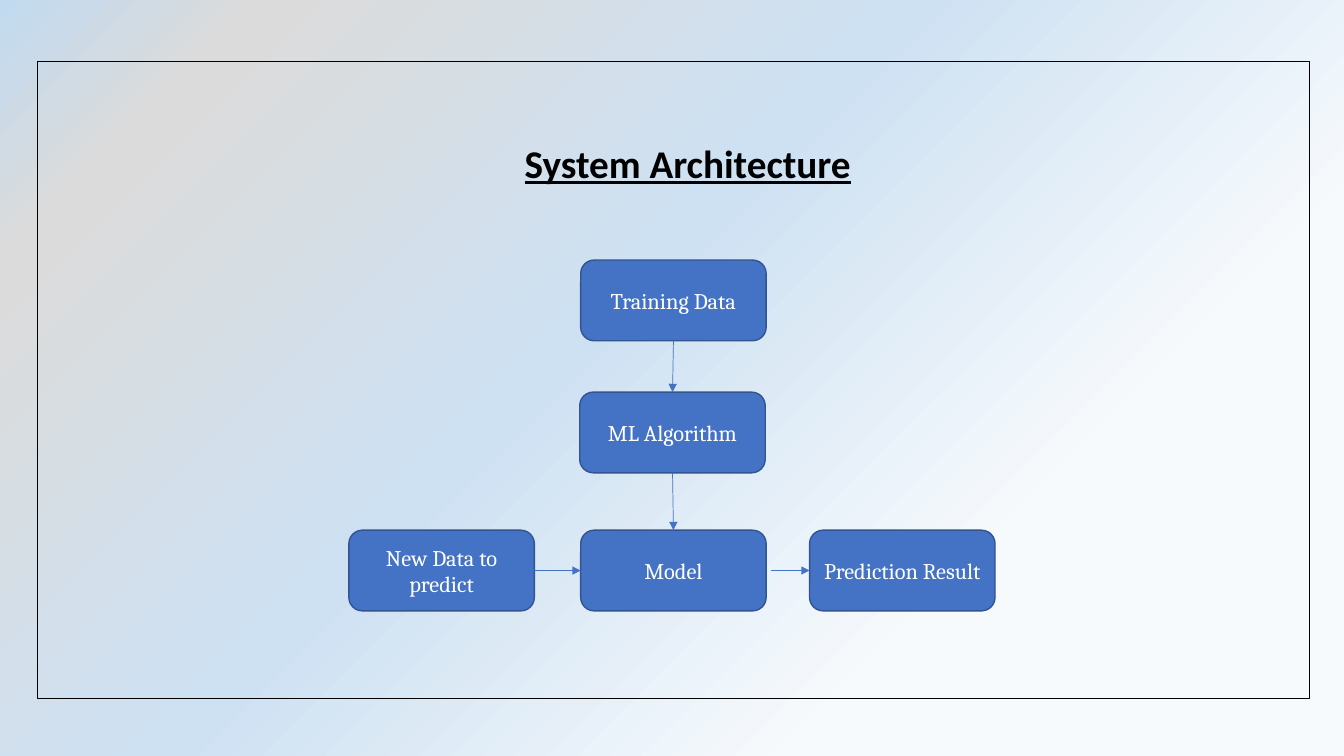
"""Build the system architecture slide; lengths are percent of the slide's size."""
from dataclasses import dataclass
from typing import Optional

from lxml.etree import SubElement
from pptx import Presentation
from pptx.dml.color import RGBColor
from pptx.enum.shapes import MSO_CONNECTOR, MSO_SHAPE
from pptx.enum.text import MSO_ANCHOR, PP_ALIGN
from pptx.oxml.ns import qn
from pptx.shapes.autoshape import Shape
from pptx.slide import Slide
from pptx.text.text import TextFrame
from pptx.util import Inches, Pt

WIDE, HIGH = Inches(13.33), Inches(7.5)
BOX_W, BOX_H = 13.8, 10.67
LEFT, MID, RIGHT = 25.96, 43.21, 60.24
TOP, NEXT, BASE = 34.4, 51.87, 70.13
TOP_SIDE, LEFT_SIDE, BOTTOM_SIDE, RIGHT_SIDE = range(4)
BLUE, NAVY, WHITE, BLACK = "4472C4", "325491", "FFFFFF", "000000"
STOPS = ((26, "F7FAFD"), (56, "CEE1F2"), (87, "DBDBDB"), (100, "C2DAEF"))


@dataclass(frozen=True)
class Box:
    """A step of the flow."""
    text: str
    left: float
    top: float


@dataclass(frozen=True)
class Link:
    """An arrow between two steps, with a gap at its start if not joined."""
    start: str
    end: str
    out: int
    into: int
    gap: Optional[float] = None


BOXES = (
    Box("Training Data", MID, TOP),
    Box("ML Algorithm", 43.14, NEXT),
    Box("New Data to predict", LEFT, BASE),
    Box("Model", MID, BASE),
    Box("Prediction Result", RIGHT, BASE),
)
LINKS = (
    Link("Training Data", "ML Algorithm", BOTTOM_SIDE, TOP_SIDE),
    Link("ML Algorithm", "Model", BOTTOM_SIDE, TOP_SIDE),
    Link("New Data to predict", "Model", RIGHT_SIDE, LEFT_SIDE),
    Link("Model", "Prediction Result", RIGHT_SIDE, LEFT_SIDE, 0.38),
)


def across(share: float) -> int:
    """Turn a percent of the width into a length."""
    return round(WIDE * share / 100)


def down(share: float) -> int:
    """Turn a percent of the height into a length."""
    return round(HIGH * share / 100)


def paint(code: str) -> RGBColor:
    """Turn a hex string into a colour."""
    return RGBColor.from_string(code)


def write(frame: TextFrame, text: str, font: str, size: int, code: str, strong: bool = False) -> None:
    """Write one centred line of text."""
    frame.word_wrap = True
    frame.vertical_anchor = MSO_ANCHOR.MIDDLE
    para = frame.paragraphs[0]
    para.alignment = PP_ALIGN.CENTER
    run = para.add_run()
    run.text = text
    run.font.name, run.font.size = font, Pt(size)
    run.font.color.rgb = paint(code)
    run.font.bold = run.font.underline = strong


def shade(slide: Slide) -> None:
    """Fill the background with a gradient from the lower right corner."""
    slide.background.fill.gradient()
    grad = slide.element.find(".//" + qn("a:gradFill"))
    for child in list(grad):
        grad.remove(child)
    stops = SubElement(grad, qn("a:gsLst"))
    for place, code in STOPS:
        stop = SubElement(stops, qn("a:gs"), pos=str(place * 1000))
        SubElement(stop, qn("a:srgbClr"), val=code)
    route = SubElement(grad, qn("a:path"), {"path": "circle"})
    SubElement(route, qn("a:fillToRect"), l="100000", t="100000")


def add_title(slide: Slide) -> None:
    """Place and fill the title."""
    title = slide.shapes.title
    title.left, title.top = across(8.03), down(12.27)
    title.width, title.height = across(86.27), down(19.33)
    write(title.text_frame, "System Architecture", "Calibri", 28, BLACK, True)
    title.text_frame.paragraphs[0].line_spacing = 0.9


def add_box(slide: Slide, box: Box) -> Shape:
    """Draw one step."""
    shape = slide.shapes.add_shape(
        MSO_SHAPE.ROUNDED_RECTANGLE, across(box.left), down(box.top), across(BOX_W), down(BOX_H))
    shape.shadow.inherit = False
    shape.fill.solid()
    shape.fill.fore_color.rgb = paint(BLUE)
    shape.line.color.rgb = paint(NAVY)
    shape.line.width = Pt(1)
    write(shape.text_frame, box.text, "Cambria", 16, WHITE)
    return shape


def add_link(slide: Slide, link: Link, steps: dict[str, Shape]) -> None:
    """Draw one arrow."""
    start, end = steps[link.start], steps[link.end]
    x = start.left + start.width + across(link.gap or 0)
    y = start.top + start.height // 2
    line = slide.shapes.add_connector(MSO_CONNECTOR.STRAIGHT, x, y, end.left, y)
    if link.gap is None:
        line.begin_connect(start, link.out)
    line.end_connect(end, link.into)
    line.line.color.rgb = paint(BLUE)
    line.line.width = Pt(0.5)
    SubElement(line.line._get_or_add_ln(), qn("a:tailEnd"), type="triangle")
    SubElement(line._element.spPr, qn("a:effectLst"))


def add_frame(slide: Slide) -> None:
    """Draw the border around the slide."""
    frame = slide.shapes.add_shape(
        MSO_SHAPE.RECTANGLE, across(2.78), down(8.13), across(94.67), down(84.27))
    frame.shadow.inherit = False
    frame.fill.background()
    frame.line.color.rgb = paint(BLACK)
    frame.line.width = Pt(1)


def main() -> None:
    """Build and save the deck."""
    deck = Presentation()
    deck.slide_width, deck.slide_height = WIDE, HIGH
    slide = deck.slides.add_slide(deck.slide_layouts.get_by_name("Title Only"))
    shade(slide)
    add_title(slide)
    steps = {box.text: add_box(slide, box) for box in BOXES}
    for link in LINKS:
        add_link(slide, link, steps)
    add_frame(slide)
    deck.save("out.pptx")


if __name__ == "__main__":
    main()
